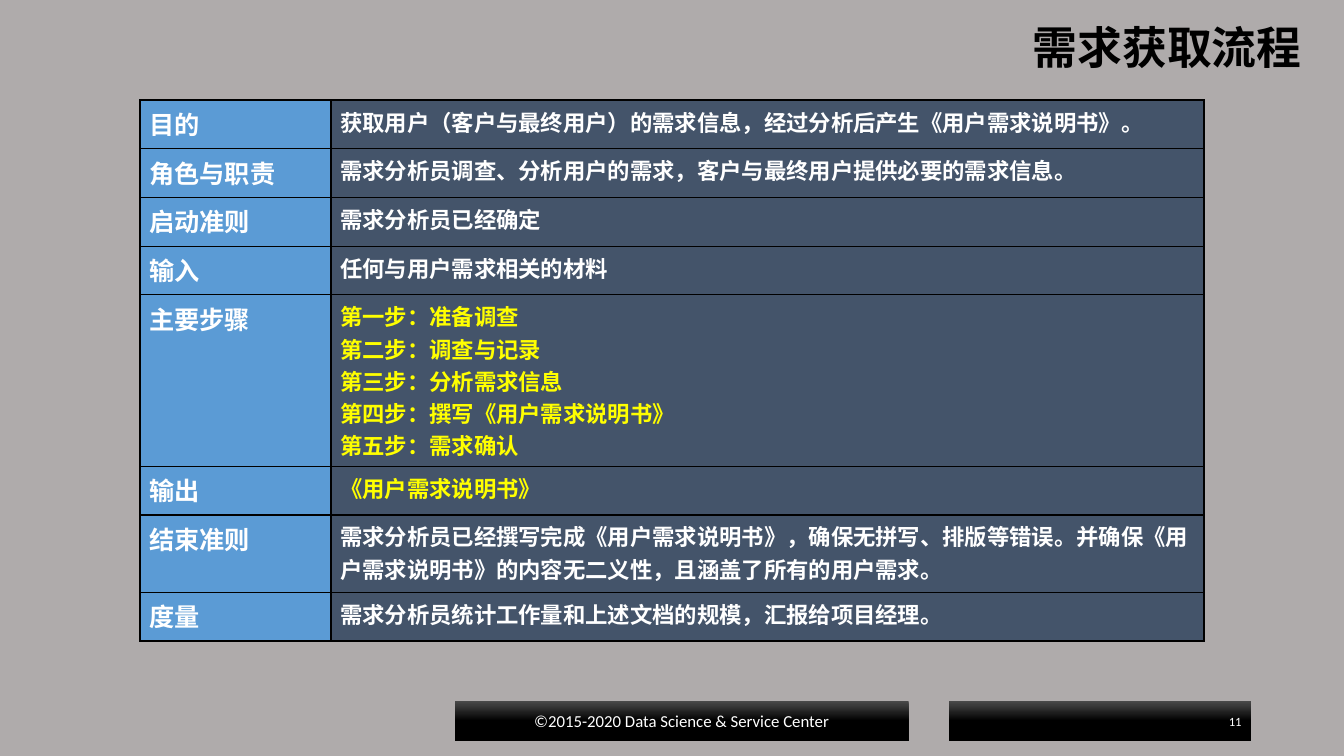
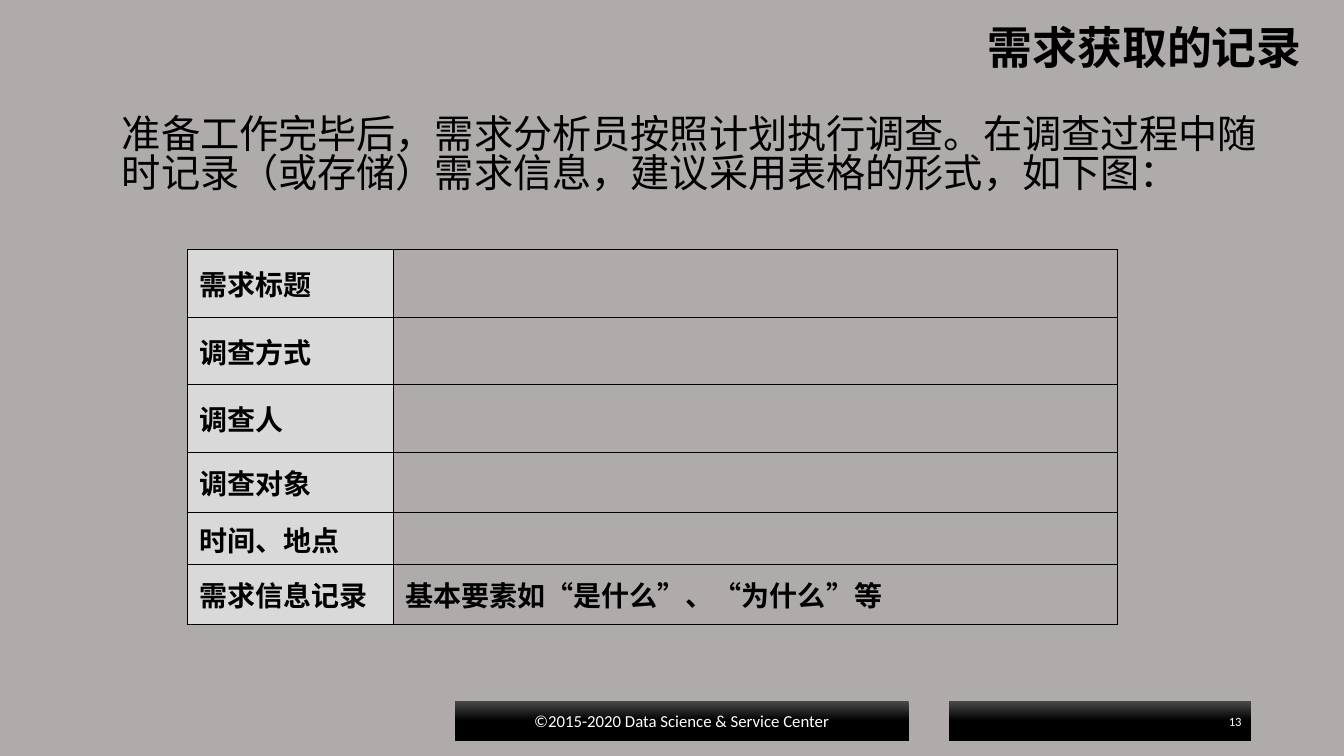
from lxml.etree import SubElement
from pptx import Presentation
from pptx.dml.color import RGBColor
from pptx.enum.shapes import MSO_SHAPE
from pptx.enum.text import MSO_ANCHOR, PP_ALIGN
from pptx.oxml.ns import qn
from pptx.util import Pt

COLORS = {
    "page": "AFABAB",
    "ink": "000000",
    "white": "FFFFFF",
    "yellow": "FFFF00",
    "label": "5B9BD5",
    "detail": "44546A",
    "form_label": "D9D9D9",
    "band_top": "4B4B4B",
}
CHINESE = "Noto Sans CJK SC"
LATIN = "Calibri"


def color(name):
    return RGBColor.from_string(COLORS[name])


def write(frame, text, *, size, ink="ink", bold=False, font=CHINESE,
          align=PP_ALIGN.LEFT, anchor=MSO_ANCHOR.TOP, spacing=None):
    """Fill a text frame, one paragraph for each line of text."""
    frame.word_wrap = True
    frame.vertical_anchor = anchor
    for number, line in enumerate(text.split("\n")):
        para = frame.paragraphs[0] if number == 0 else frame.add_paragraph()
        para.alignment = align
        if spacing:
            para.line_spacing = spacing
        span = para.add_run()
        span.text = line
        span.font.name = font
        span.font.size = Pt(size)
        span.font.bold = bold
        span.font.color.rgb = color(ink)
        east_asian = SubElement(span.font._element, qn("a:ea"))
        east_asian.set("typeface", font)


class SlideWriter:
    """Holds the deck, its style and the slide being written."""

    def __init__(self):
        self.deck = Presentation()
        self.deck.slide_width, self.deck.slide_height = Pt(960), Pt(540)
        self.page = None

    def start(self, title, number):
        self.page = self.deck.slides.add_slide(self.deck.slide_layouts[6])
        background = self.page.background.fill
        background.solid()
        background.fore_color.rgb = color("page")
        self.text(title, 123, 10, 814, 51, size=32, bold=True, spacing=0.9,
                  align=PP_ALIGN.RIGHT, anchor=MSO_ANCHOR.MIDDLE)
        self.band("©2015-2020 Data Science & Service Center", 325, 324,
                  size=12, align=PP_ALIGN.CENTER)
        self.band(str(number), 678, 216, size=9, align=PP_ALIGN.RIGHT)

    def text(self, text, left, top, width, height, **style):
        box = self.page.shapes.add_textbox(
            Pt(left), Pt(top), Pt(width), Pt(height))
        write(box.text_frame, text, **style)

    def band(self, text, left, width, **style):
        """Footer bar, fading to black at half its height."""
        bar = self.page.shapes.add_shape(
            MSO_SHAPE.RECTANGLE, Pt(left), Pt(500.5), Pt(width), Pt(29))
        bar.shadow.inherit = False
        bar.line.fill.background()
        bar.fill.gradient()
        bar.fill.gradient_angle = 270
        stops = zip(bar.fill.gradient_stops, (0, 0.5), ("band_top", "ink"))
        for stop, position, name in stops:
            stop.position = position
            stop.color.rgb = color(name)
        write(bar.text_frame, text, ink="white", font=LATIN,
              anchor=MSO_ANCHOR.MIDDLE, **style)

    def table(self, rows, left, top, widths, heights, *, fills, sizes,
              inset, inks, anchor=MSO_ANCHOR.TOP):
        """Two-column table; rows hold label, detail and an optional ink."""
        frame = self.page.shapes.add_table(
            len(rows), 2, Pt(left), Pt(top), Pt(sum(widths)), Pt(sum(heights)))
        grid = frame.table
        grid.first_row = grid.horz_banding = False
        for column, width in zip(grid.columns, widths):
            column.width = Pt(width)
        for index, (label, detail, *marked) in enumerate(rows):
            grid.rows[index].height = Pt(heights[index])
            row_inks = (inks[0], marked[0] if marked else inks[1])
            for place, text in enumerate((label, detail)):
                cell = grid.cell(index, place)
                self.border(cell)
                if fills[place]:
                    cell.fill.solid()
                    cell.fill.fore_color.rgb = color(fills[place])
                else:
                    cell.fill.background()
                cell.margin_left = cell.margin_right = Pt(inset)
                cell.margin_top = cell.margin_bottom = Pt(3.6)
                cell.vertical_anchor = anchor
                if text:
                    write(cell.text_frame, text, size=sizes[place], bold=True,
                          ink=row_inks[place], anchor=anchor)

    def border(self, cell):
        properties = cell._tc.get_or_add_tcPr()
        for side in ("lnL", "lnR", "lnT", "lnB"):
            line = SubElement(properties, qn(f"a:{side}"), w=str(Pt(1)))
            fill = SubElement(line, qn("a:solidFill"))
            SubElement(fill, qn("a:srgbClr"), val=COLORS["ink"])


def main():
    writer = SlideWriter()

    # Process overview
    writer.start("需求获取流程", 11)
    steps = "\n".join((
        "第一步：准备调查",
        "第二步：调查与记录",
        "第三步：分析需求信息",
        "第四步：撰写《用户需求说明书》",
        "第五步：需求确认",
    ))
    process = [
        ("目的", "获取用户（客户与最终用户）的需求信息，经过分析后产生《用户需求说明书》。"),
        ("角色与职责", "需求分析员调查、分析用户的需求，客户与最终用户提供必要的需求信息。"),
        ("启动准则", "需求分析员已经确定"),
        ("输入", "任何与用户需求相关的材料"),
        ("主要步骤", steps, "yellow"),
        ("输出", "《用户需求说明书》", "yellow"),
        ("结束准则", "需求分析员已经撰写完成《用户需求说明书》，确保无拼写、排版等错误。"
                 "并确保《用户需求说明书》的内容无二义性，且涵盖了所有的用户需求。"),
        ("度量", "需求分析员统计工作量和上述文档的规模，汇报给项目经理。"),
    ]
    writer.table(process, 100, 71.5, (136.4, 623.6),
                 [34.8] * 4 + [122.5, 34.8, 55.2, 34.8],
                 fills=("label", "detail"), sizes=(18, 16), inset=6.6,
                 inks=("white", "white"))

    # Record form
    writer.start("需求获取的记录", 13)
    writer.text("准备工作完毕后，需求分析员按照计划执行调查。在调查过程中"
                "随时记录（或存储）需求信息，建议采用表格的形式，如下图：",
                80, 80, 825, 85, size=28, spacing=0.83)
    form = [
        ("需求标题", ""),
        ("调查方式", ""),
        ("调查人", ""),
        ("调查对象", ""),
        ("时间、地点", ""),
        ("需求信息记录", "基本要素如“是什么”、“为什么”等"),
    ]
    writer.table(form, 134, 178.5, (147, 517),
                 [48.2] * 3 + [43.2, 37.2, 42.6],
                 fills=("form_label", None), sizes=(20, 20), inset=8.6,
                 inks=("ink", "ink"), anchor=MSO_ANCHOR.MIDDLE)

    writer.deck.save("out.pptx")


if __name__ == "__main__":
    main()
